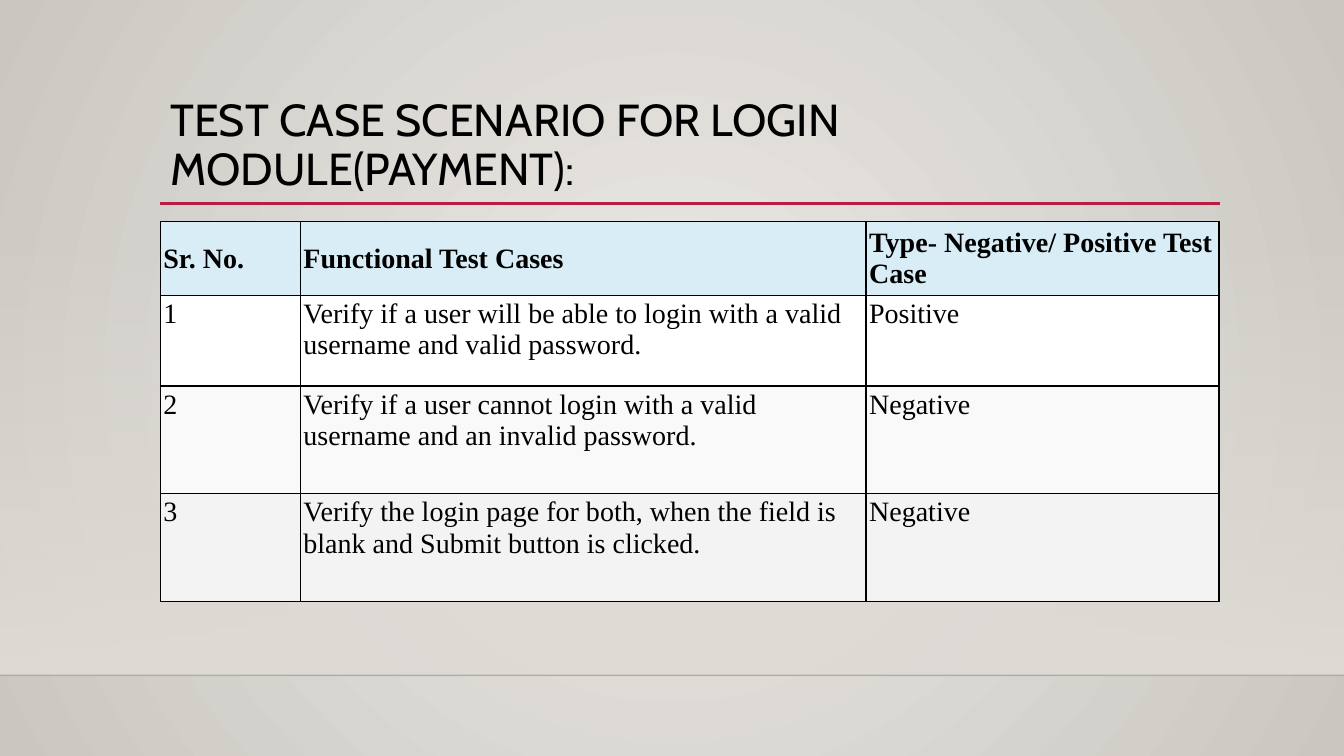
from lxml.etree import SubElement
from pptx import Presentation
from pptx.dml.color import RGBColor
from pptx.enum.shapes import MSO_CONNECTOR, MSO_SHAPE
from pptx.enum.text import MSO_ANCHOR
from pptx.oxml.ns import qn
from pptx.util import Inches, Pt

THEME = {
    "glow": "ECEAE7", "edge": "CAC7C1", "floor": "DFDBD5", "seam": "000001",
    "rule": "B71E42", "ink": "000000",
    "rows": ["D9EDF7", "FFFFFF", "F9F9F9", "F3F3F3"],
    "title": ("Cabin", 32), "cell": ("Times New Roman", 20),
}
WIDE, HIGH = 13.33, 7.5
LEFT, SPAN = 1.59, 10.5
COLS = [1.39, 5.61, 3.5]
ROWS = [0.73, 0.9, 1.07, 1.07]
CASES = [
    ("Sr. No.", "Functional Test Cases", "Type- Negative/ Positive Test Case"),
    ("1", "Verify if a user will be able to login with a valid username "
          "and valid password.", "Positive"),
    ("2", "Verify if a user cannot login with a valid username "
          "and an invalid password.", "Negative"),
    ("3", "Verify the login page for both, when the field is blank "
          "and Submit button is clicked.", "Negative"),
]


def add_run(para, text, style, bold=False):
    run = para.add_run()
    run.text = text
    font = run.font
    font.name, size = THEME[style]
    font.size, font.bold = Pt(size), bold
    font.color.rgb = RGBColor.from_string(THEME["ink"])


def set_grad(fill, tones):
    fill.gradient()
    for stop, tone in zip(fill.gradient_stops, tones):
        stop.color.rgb = RGBColor.from_string(THEME[tone])


deck = Presentation()
deck.slide_width, deck.slide_height = Inches(WIDE), Inches(HIGH)
slide = deck.slides.add_slide(deck.slide_layouts[6])

# Background: light centre, darker edge
set_grad(slide.background.fill, ["glow", "edge"])
grad = slide.element.find(".//" + qn("a:gradFill"))
grad.remove(grad.find(qn("a:lin")))
ring = SubElement(grad, qn("a:path"), {"path": "circle"})
SubElement(ring, qn("a:fillToRect"), {side: "50000" for side in "ltrb"})

# Wall that fades in towards the floor
wall = slide.shapes.add_shape(MSO_SHAPE.RECTANGLE, 0, Inches(2.21),
                              Inches(WIDE), Inches(4.49))
wall.shadow.inherit = False
wall.line.fill.background()
set_grad(wall.fill, ["floor", "floor"])
wall.fill.gradient_angle = 270
first = wall.element.find(".//" + qn("a:srgbClr"))
SubElement(first, qn("a:alpha"), {"val": "0"})

# Floor seam and title rule
for start, end, top, tone, width, alpha in [
    (0, WIDE, 6.7, "seam", 1, 20),
    (LEFT, 12.1, 2.02, "rule", 2.5, 100),
]:
    line = slide.shapes.add_connector(MSO_CONNECTOR.STRAIGHT, Inches(start),
                                      Inches(top), Inches(end), Inches(top))
    line.line.width = Pt(width)
    line.line.color.rgb = RGBColor.from_string(THEME[tone])
    paint = line.element.find(".//" + qn("a:srgbClr"))
    SubElement(paint, qn("a:alpha"), {"val": str(alpha * 1000)})
    SubElement(line.element.spPr, qn("a:effectLst"))

# Title
box = slide.shapes.add_textbox(Inches(LEFT), Inches(0.88),
                               Inches(SPAN), Inches(1.15))
frame = box.text_frame
frame.word_wrap = True
frame.vertical_anchor = MSO_ANCHOR.MIDDLE
para = frame.paragraphs[0]
para.line_spacing = 0.9
add_run(para, "TEST CASE SCENARIO FOR LOGIN MODULE(PAYMENT):", "title")

# Test case table
table = slide.shapes.add_table(len(ROWS), len(COLS), Inches(LEFT), Inches(2.2),
                               Inches(SPAN), Inches(sum(ROWS))).table
for col, width in zip(table.columns, COLS):
    col.width = Inches(width)
for row, height in zip(table.rows, ROWS):
    row.height = Inches(height)

for r, (case, tone) in enumerate(zip(CASES, THEME["rows"])):
    for c, text in enumerate(case):
        cell = table.cell(r, c)
        cell.margin_left = cell.margin_right = Inches(0.03)
        cell.margin_top = cell.margin_bottom = Inches(0.03)
        cell.vertical_anchor = MSO_ANCHOR.TOP if r else MSO_ANCHOR.MIDDLE
        add_run(cell.text_frame.paragraphs[0], text, "cell", bold=r == 0)
        props = cell._tc.get_or_add_tcPr()
        for side in "LRTB":
            edge = SubElement(props, qn(f"a:ln{side}"), {"w": str(Pt(1))})
            solid = SubElement(edge, qn("a:solidFill"))
            SubElement(solid, qn("a:srgbClr"), {"val": THEME["ink"]})
        cell.fill.solid()
        cell.fill.fore_color.rgb = RGBColor.from_string(tone)

deck.save("out.pptx")
